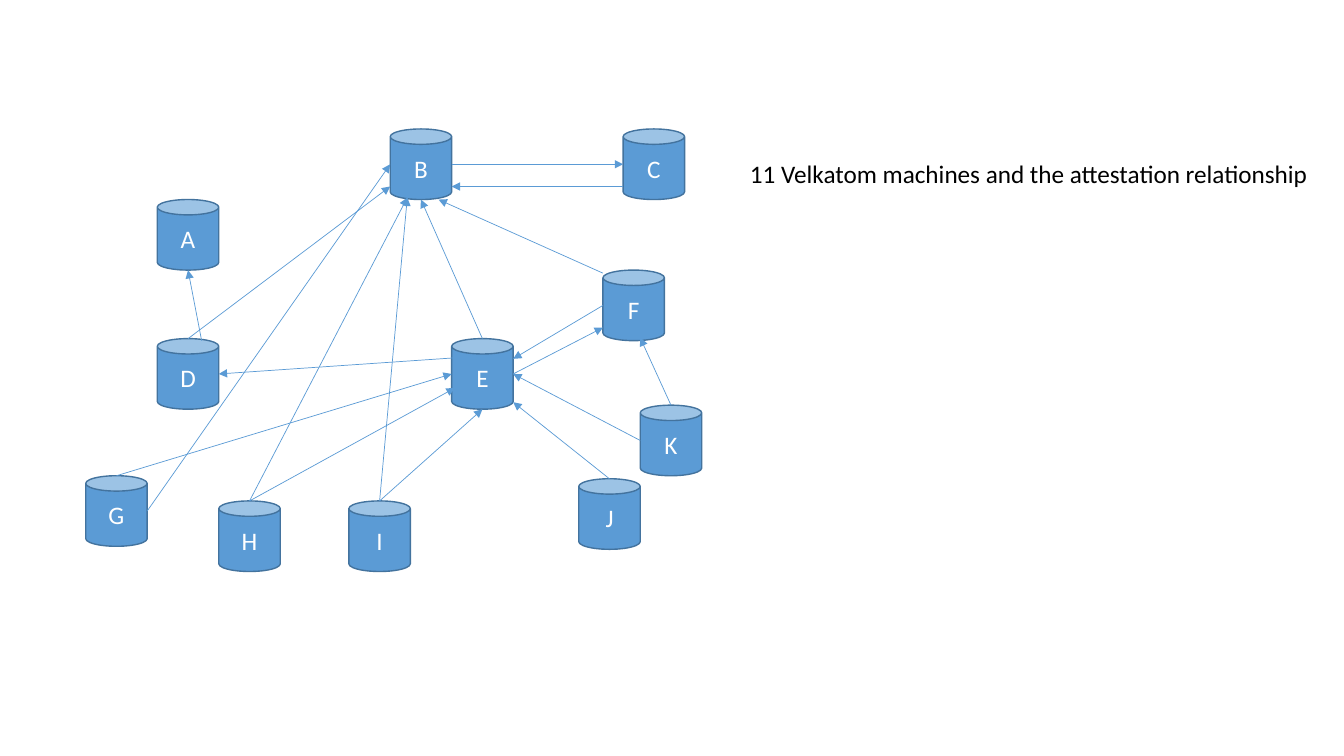
from lxml import etree
from pptx import Presentation
from pptx.dml.color import RGBColor
from pptx.enum.shapes import MSO_CONNECTOR, MSO_SHAPE
from pptx.enum.text import MSO_ANCHOR, MSO_AUTO_SIZE, PP_ALIGN
from pptx.oxml.ns import qn
from pptx.util import Inches, Pt

CAN = MSO_SHAPE.CAN
STRAIGHT = MSO_CONNECTOR.STRAIGHT
MIDDLE = MSO_ANCHOR.MIDDLE
CENTER, LEFT = PP_ALIGN.CENTER, PP_ALIGN.LEFT
FIT_SHAPE = MSO_AUTO_SIZE.SHAPE_TO_FIT_TEXT

BLUE, OUTLINE, WHITE, BLACK = "5B9BD5", "43739E", "FFFFFF", "000000"
FONT = {"name": "Calibri", "size": Pt(18)}
W, H = 0.61, 0.7

MACHINES = {
    "B": (3.87, 1.28), "A": (1.56, 1.98), "D": (1.56, 3.36),
    "E": (4.48, 3.36), "F": (5.98, 2.68), "C": (6.18, 1.28),
    "G": (0.85, 4.72), "H": (2.17, 4.97), "I": (3.46, 4.97),
    "J": (5.74, 4.75), "K": (6.35, 4.02),
}

TOP, BOTTOM = (W / 2, 0), (W / 2, H)
MID_LEFT, MID_RIGHT = (0, H / 2), (W, H / 2)
LOW_LEFT, LOW_RIGHT = (0, 0.57), (W, 0.57)
BASE_LEFT = (0.17, 0.68)

ATTESTATIONS = [
    ("E", TOP, "B", BOTTOM),
    ("K", MID_LEFT, "E", MID_RIGHT),
    ("J", TOP, "E", (W, 0.63)),
    ("I", TOP, "E", BOTTOM),
    ("H", TOP, "E", (0.03, 0.49)),
    ("G", TOP, "E", MID_LEFT),
    ("G", MID_RIGHT, "B", MID_LEFT),
    ("H", TOP, "B", BASE_LEFT),
    ("I", TOP, "B", BASE_LEFT),
    ("E", (0.03, 0.19), "D", MID_RIGHT),
    ("D", TOP, "B", LOW_LEFT),
    ("D", (0.44, 0.02), "A", BOTTOM),
    ("B", MID_RIGHT, "C", MID_LEFT),
    ("C", LOW_LEFT, "B", LOW_RIGHT),
    ("F", (0, 0.03), "B", (0.48, H)),
    ("F", MID_LEFT, "E", (W, 0.2)),
    ("E", MID_RIGHT, "F", LOW_LEFT),
    ("K", TOP, "F", (0.37, 0.67)),
]


def rgb(value):
    return RGBColor.from_string(value)


def set_attrs(obj, values):
    for name, value in values.items():
        setattr(obj, name, value)


def write_text(tf, text, color, align):
    p = tf.paragraphs[0]
    p.alignment = align
    r = p.add_run()
    r.text = text
    set_attrs(r.font, FONT)
    r.font.color.rgb = rgb(color)


def add_machine(s, name, left, top):
    sp = s.shapes.add_shape(CAN, Inches(left), Inches(top), Inches(W), Inches(H))
    sp.shadow.inherit = False
    sp.fill.solid()
    sp.fill.fore_color.rgb = rgb(BLUE)
    sp.line.color.rgb = rgb(OUTLINE)
    sp.line.width = Pt(1)
    sp.text_frame.vertical_anchor = MIDDLE
    write_text(sp.text_frame, name, WHITE, CENTER)


def port_position(machine, port):
    return [Inches(a + b) for a, b in zip(MACHINES[machine], port)]


def add_attestation(s, source, source_port, target, target_port):
    start = port_position(source, source_port)
    end = port_position(target, target_port)
    cxn = s.shapes.add_connector(STRAIGHT, *start, *end)
    cxn.line.color.rgb = rgb(BLUE)
    cxn.line.width = Pt(0.5)
    etree.SubElement(cxn.line._get_or_add_ln(), qn("a:tailEnd"), type="triangle")
    etree.SubElement(cxn._element.spPr, qn("a:effectLst"))


def add_label(s, text, left, top, width, height):
    sp = s.shapes.add_textbox(Inches(left), Inches(top), Inches(width), Inches(height))
    set_attrs(sp.text_frame, {"word_wrap": False, "auto_size": FIT_SHAPE})
    write_text(sp.text_frame, text, BLACK, LEFT)


def main():
    prs = Presentation()
    prs.slide_width, prs.slide_height = Inches(13.33), Inches(7.5)
    s = prs.slides.add_slide(prs.slide_layouts[6])
    for name, position in MACHINES.items():
        add_machine(s, name, *position)
    for attestation in ATTESTATIONS:
        add_attestation(s, *attestation)
    add_label(s, "11 Velkatom machines and the attestation relationship",
              7.34, 1.52, 5.73, 0.4)
    prs.save("out.pptx")


main()
